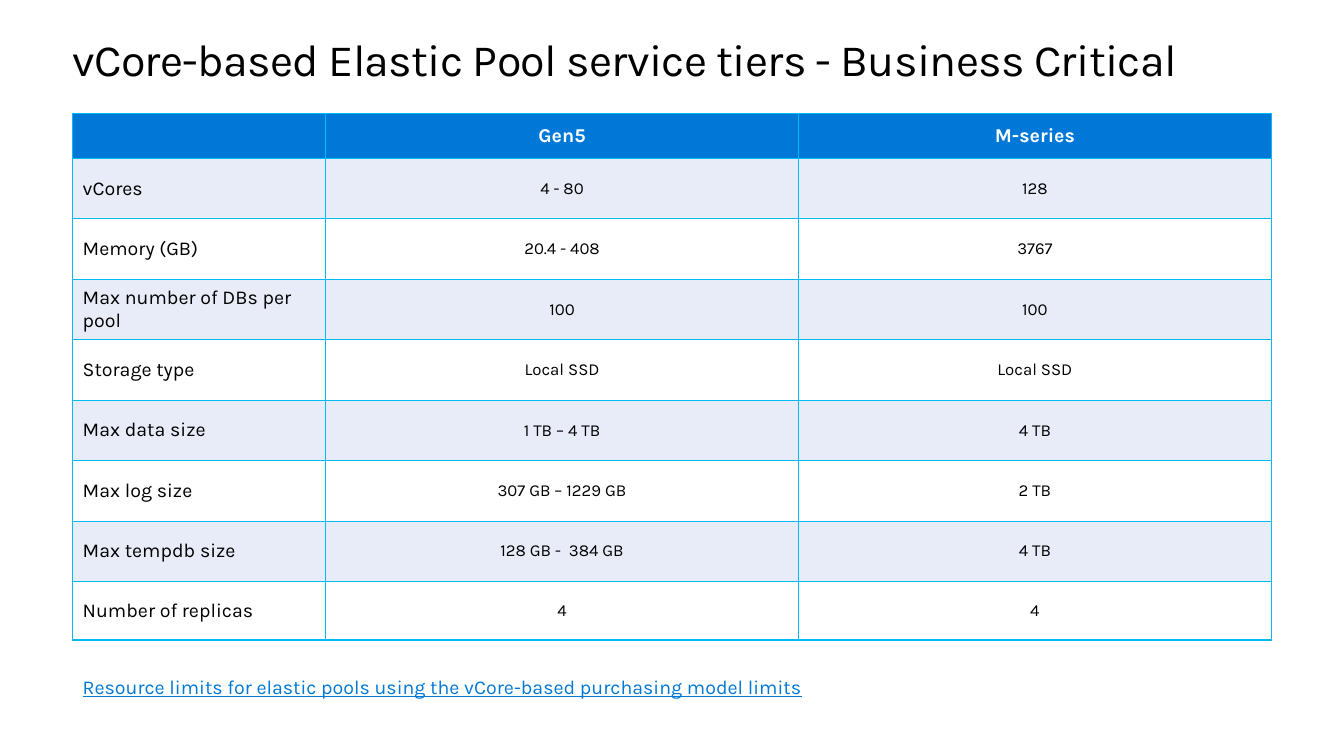
import pptx
import pptx.util
import pptx.dml.color
import pptx.enum.text
import pptx.oxml
import pptx.oxml.ns

EMU_PER_PX = 9144  # 100 px to the inch
COLORS = {
    "text": "000000",
    "white": "FFFFFF",
    "header": "0078D7",
    "band": "E7ECF8",
    "border": "00BCF2",
    "link": "0078D4",
}
ALIGN = pptx.enum.text.PP_ALIGN
ANCHOR = pptx.enum.text.MSO_ANCHOR
AUTO_SIZE = pptx.enum.text.MSO_AUTO_SIZE


def px(length):
    return pptx.util.Emu(length * EMU_PER_PX)


def rgb(name):
    return pptx.dml.color.RGBColor.from_string(COLORS[name])


class SlideBuilder:
    font = "Karla"

    def __init__(self, slide):
        self.slide = slide

    def add_run(self, paragraph, text, size, color, bold=False, underline=False):
        run = paragraph.add_run()
        run.text = text
        run.font.name = self.font
        run.font.size = pptx.util.Pt(size)
        run.font.bold = bold
        run.font.underline = underline
        run.font.color.rgb = rgb(color)
        return run

    def title(self, text, left, top, width, height):
        heading = self.slide.shapes.title
        heading.left, heading.top = px(left), px(top)
        heading.width, heading.height = px(width), px(height)
        heading.fill.solid()
        heading.fill.fore_color.rgb = rgb("white")
        frame = heading.text_frame
        frame.margin_left = frame.margin_right = 0
        frame.margin_top = frame.margin_bottom = 0
        frame.vertical_anchor = ANCHOR.TOP
        frame.word_wrap = True
        frame.auto_size = AUTO_SIZE.SHAPE_TO_FIT_TEXT
        paragraph = frame.paragraphs[0]
        paragraph.alignment = ALIGN.LEFT
        paragraph.line_spacing = pptx.util.Pt(36.2)
        run = self.add_run(paragraph, text, 32, "text")
        run.font._element.set("spc", "-50")

    def text(self, text, left, top, width, height, size, color, underline=False):
        box = self.slide.shapes.add_textbox(px(left), px(top), px(width), px(height))
        box.text_frame.word_wrap = True
        box.text_frame.auto_size = AUTO_SIZE.SHAPE_TO_FIT_TEXT
        self.add_run(box.text_frame.paragraphs[0], text, size, color, underline=underline)

    def cell_borders(self, cell):
        properties = cell._tc.get_or_add_tcPr()
        for side in ("lnL", "lnR", "lnT", "lnB"):
            properties.append(pptx.oxml.parse_xml(
                f'<a:{side} {pptx.oxml.ns.nsdecls("a")} w="12700"><a:solidFill>'
                f'<a:srgbClr val="{COLORS["border"]}"/></a:solidFill></a:{side}>'))

    def table(self, rows, left, top, widths, heights):
        grid = self.slide.shapes.add_table(
            len(rows), len(widths), px(left), px(top),
            px(sum(widths)), px(sum(heights))).table
        for column, width in zip(grid.columns, widths):
            column.width = px(width)
        for row, height in zip(grid.rows, heights):
            row.height = px(height)
        for r, values in enumerate(rows):
            is_header = r == 0
            fill = "header" if is_header else ("band" if r % 2 else "white")
            for c, value in enumerate(values):
                cell = grid.cell(r, c)
                self.cell_borders(cell)
                cell.fill.solid()
                cell.fill.fore_color.rgb = rgb(fill)
                cell.vertical_anchor = ANCHOR.MIDDLE
                if not value:
                    continue
                paragraph = cell.text_frame.paragraphs[0]
                paragraph.alignment = ALIGN.CENTER if c else ALIGN.LEFT
                size = 14 if is_header or c == 0 else 12
                color = "white" if is_header else "text"
                self.add_run(paragraph, value, size, color, bold=is_header)


def main():
    deck = pptx.Presentation()
    deck.slide_width, deck.slide_height = px(1333), px(750)
    title_only = deck.slide_layouts[5]
    builder = SlideBuilder(deck.slides.add_slide(title_only))

    # Title
    builder.title("vCore-based Elastic Pool service tiers - Business Critical",
                  72, 35, 1190, 50)

    # Limits by hardware generation
    limits = [
        ("", "Gen5", "M-series"),
        ("vCores", "4 - 80", "128"),
        ("Memory (GB)", "20.4 - 408", "3767"),
        ("Max number of DBs per pool", "100", "100"),
        ("Storage type", "Local SSD", "Local SSD"),
        ("Max data size", "1 TB – 4 TB", "4 TB"),
        ("Max log size", "307 GB – 1229 GB", "2 TB"),
        ("Max tempdb size", "128 GB -  384 GB", "4 TB"),
        ("Number of replicas", "4", "4"),
    ]
    builder.table(limits, 72, 113, [251, 469, 469], [44] + [60] * 7 + [58])

    # Reference below the table
    builder.text("Resource limits for elastic pools using the vCore-based "
                 "purchasing model limits", 72, 665, 939, 34, 14, "link", underline=True)

    deck.save("out.pptx")


if __name__ == "__main__":
    main()
